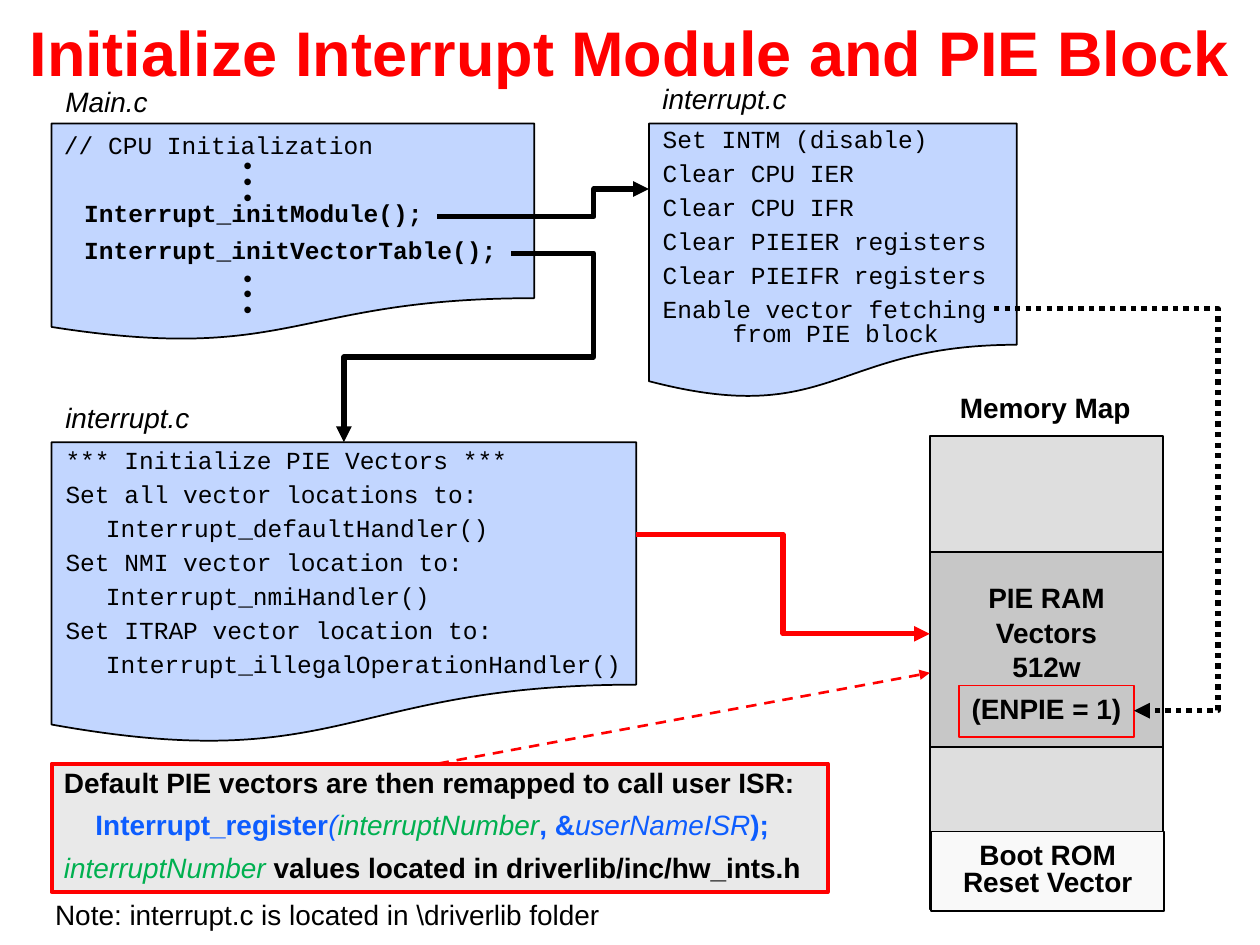
import dataclasses

import lxml.etree
import pptx
import pptx.dml.color
import pptx.enum.dml
import pptx.enum.shapes
import pptx.enum.text
import pptx.oxml.ns
import pptx.util

RGBColor = pptx.dml.color.RGBColor
BLACK = RGBColor(0x00, 0x00, 0x00)
RED = RGBColor(0xFF, 0x00, 0x00)
BLUE = RGBColor(0x0D, 0x5D, 0xFF)
GREEN = RGBColor(0x00, 0xB0, 0x50)
FILE_BLUE = RGBColor(0xC2, 0xD6, 0xFF)
NOTE_GRAY = RGBColor(0xE9, 0xE9, 0xE9)
MEMORY_GRAY = RGBColor(0xDE, 0xDE, 0xDE)
VECTOR_GRAY = RGBColor(0xC7, 0xC7, 0xC7)
ROM_WHITE = RGBColor(0xF9, 0xF9, 0xF9)

SHAPE = pptx.enum.shapes.MSO_SHAPE
CONNECTOR = pptx.enum.shapes.MSO_CONNECTOR
DASH = pptx.enum.dml.MSO_LINE
ALIGN = pptx.enum.text.PP_ALIGN
ANCHOR = pptx.enum.text.MSO_ANCHOR

# The slide is a grid of 100 columns by 75 rows of square cells.
CELL = pptx.util.Inches(0.1)
COLUMNS, ROWS = 100, 75

CODE = {"name": "Courier New", "size": pptx.util.Pt(14), "bold": False, "italic": False}
STRONG_CODE = CODE | {"bold": True}
LABEL = {"name": "Arial", "size": pptx.util.Pt(16), "bold": False, "italic": False}
STRONG = LABEL | {"bold": True}
CAPTION = LABEL | {"italic": True}
TITLE = STRONG | {"size": pptx.util.Pt(36)}


@dataclasses.dataclass
class Box:
    """A rectangle measured in grid cells."""
    left: float
    top: float
    width: float
    height: float

    def inner(self, across, down, width, height):
        """Return a box placed relative to this one's corner."""
        return Box(self.left + across, self.top + down, width, height)

    def lengths(self):
        """Return left, top, width and height as slide lengths."""
        return [cells(value) for value in dataclasses.astuple(self)]


def cells(count):
    """Turn a count of grid cells into a length."""
    return round(count * CELL)


def assign(target, formats):
    """Set every named attribute of the target."""
    for name, value in formats.items():
        setattr(target, name, value)


def write(shape, lines, font, color=BLACK, before=0, spacing=0.8, align=ALIGN.LEFT,
          anchor=ANCHOR.TOP, wrap=False, insets=(1, 0.5, 1, 0.5)):
    """Fill a shape with lines; a line is text or (spans, left margin, first indent)."""
    frame = shape.text_frame
    left, top, right, bottom = map(cells, insets)
    assign(frame, {"word_wrap": wrap, "vertical_anchor": anchor, "margin_left": left,
                   "margin_top": top, "margin_right": right, "margin_bottom": bottom})
    for index, line in enumerate(lines):
        para = frame.add_paragraph() if index else frame.paragraphs[0]
        assign(para, {"alignment": align, "line_spacing": spacing,
                      "space_before": pptx.util.Pt(before)})
        spans, margin, indent = (line, 0, 0) if isinstance(line, str) else line
        properties = para._p.get_or_add_pPr()
        properties.set("marL", str(cells(margin)))
        properties.set("indent", str(cells(indent)))
        for text, span_font, span_color in [(spans, font, color)] if isinstance(spans, str) else spans:
            span = para.add_run()
            span.text = text
            assign(span.font, span_font)
            span.font.color.rgb = span_color


def text(page, box, lines, font, **formats):
    """Add a plain text box."""
    write(page.shapes.add_textbox(*box.lengths()), lines, font, **formats)


def panel(page, box, fill, line=BLACK, weight=1, kind=SHAPE.RECTANGLE):
    """Add a filled, outlined shape without shadow."""
    shape = page.shapes.add_shape(kind, *box.lengths())
    shape.shadow.inherit = False
    shape.fill.solid()
    shape.fill.fore_color.rgb = fill
    shape.line.color.rgb = line
    shape.line.width = pptx.util.Pt(weight)
    return shape


def arrow(page, start, end, bends=(), color=BLACK, weight=3, dash=None):
    """Add an arrow; bends are the elbow positions as shares of its extent."""
    kind = CONNECTOR.ELBOW if bends else CONNECTOR.STRAIGHT
    link = page.shapes.add_connector(kind, *map(cells, (*start, *end)))
    assign(link.line, {"width": pptx.util.Pt(weight), "dash_style": dash})
    link.line.color.rgb = color
    qualified = pptx.oxml.ns.qn
    properties = link._element.spPr
    if bends:
        geometry = properties.find(qualified("a:prstGeom"))
        geometry.set("prst", f"bentConnector{len(bends) + 2}")
        guides = geometry.find(qualified("a:avLst"))
        for number, share in enumerate(bends, 1):
            lxml.etree.SubElement(guides, qualified("a:gd"), name=f"adj{number}",
                                  fmla=f"val {round(share * 100000)}")
    outline = properties.find(qualified("a:ln"))
    lxml.etree.SubElement(outline, qualified("a:tailEnd"), type="triangle")
    lxml.etree.SubElement(properties, qualified("a:effectLst"))


def source_file(page, box, caption, caption_box):
    """Draw a file as a document shape with its name above."""
    panel(page, box, FILE_BLUE, kind=SHAPE.FLOWCHART_DOCUMENT)
    text(page, caption_box, [caption], CAPTION)


def main_file(page, box):
    """Draw Main.c with its two calls between vertical ellipses."""
    source_file(page, box, "Main.c", box.inner(0.1, -3.1, 8.9, 3.1))
    for first_dot in (2.1, 11):
        for step in range(3):
            text(page, box.inner(14, first_dot + 1.25 * step, 3.2, 3), ["•"], CODE)
    text(page, box.inner(0, 0.5, 26.7, 2.9), ["// CPU Initialization"], CODE)
    text(page, box.inner(1.6, 5.9, 29, 3), ["Interrupt_initModule();"], STRONG_CODE)
    text(page, box.inner(1.6, 8.8, 34.9, 3), ["Interrupt_initVectorTable();"], STRONG_CODE)


def listing_file(page, box, caption_box, code_box, lines):
    """Draw interrupt.c with a listing of steps."""
    source_file(page, box, "interrupt.c", caption_box)
    text(page, code_box, lines, CODE, before=6, wrap=True, insets=(0, 0.5, 0, 0.5))


def memory_map(page, box):
    """Draw the memory map with its vector block and boot ROM."""
    centred = {"align": ALIGN.CENTER, "anchor": ANCHOR.MIDDLE}
    text(page, box.inner(1.4, -3.6, 15.6, 3.1), ["Memory Map"], STRONG)
    panel(page, box, MEMORY_GRAY)
    vectors = panel(page, box.inner(0, 9.2, box.width, 15.5), VECTOR_GRAY)
    write(vectors, ["PIE RAM", "Vectors", "512w"], STRONG, before=4.6,
          insets=(1, 0.5, 1, 2.8), **centred)
    boot = panel(page, box.inner(0.1, 31.4, box.width, 6.3), ROM_WHITE)
    write(boot, ["Boot ROM", "Reset Vector"], STRONG, **centred)
    enable = panel(page, box.inner(2.3, 19.8, 13.9, 4.1), VECTOR_GRAY, RED)
    write(enable, ["(ENPIE = 1)"], STRONG, **centred)


def remap_note(page, box):
    """Draw the framed note on remapping, and the remark below it."""
    call = [("Interrupt_register", STRONG, BLUE), ("(", CAPTION, BLUE),
            ("interruptNumber", CAPTION, GREEN), (", &", STRONG, BLUE),
            ("userNameISR", CAPTION, BLUE), (");", STRONG, BLUE)]
    place = [("interruptNumber", CAPTION, GREEN),
             (" values located in driverlib/inc/hw_ints.h", STRONG, BLACK)]
    frame = panel(page, box, NOTE_GRAY, RED, 2.25)
    write(frame, ["Default PIE vectors are then remapped to call user ISR:",
                  (call, 2.5, 0), (place, 0, 0)],
          STRONG, before=8.8, anchor=ANCHOR.MIDDLE, wrap=True)
    text(page, box.inner(-0.3, 10.6, 44.4, 3.2),
         ["Note: interrupt.c is located in \\driverlib folder"], LABEL,
         align=ALIGN.CENTER, anchor=ANCHOR.MIDDLE, insets=(0, 0.5, 0, 0.5))


def flow_arrows(page):
    """Link the calls, the files and the memory map."""
    arrow(page, (34.7, 17.2), (51.5, 15), [0.74])
    arrow(page, (40.6, 20.1), (27.3, 35.1), [-0.49, 0.55])
    arrow(page, (50.5, 42.4), (73.8, 50.3), [0.5], RED)
    arrow(page, (78.9, 24.5), (90, 56.4), [1.6], dash=DASH.ROUND_DOT)
    arrow(page, (34.8, 60.6), (73.8, 53.4), color=RED, weight=1.5, dash=DASH.DASH)


def interrupt_slide(deck):
    """Build the slide on interrupt initialisation."""
    page = deck.slides.add_slide(deck.slide_layouts[6])
    text(page, Box(0, 0, COLUMNS, 8.1), ["Initialize Interrupt Module and PIE Block"], TITLE,
         color=RED, spacing=1.0, align=ALIGN.CENTER, anchor=ANCHOR.MIDDLE)
    main_file(page, Box(4.1, 9.8, 38.3, 17.3))
    memory_map(page, Box(73.8, 34.6, 18.5, 37.6))
    module = Box(51.5, 9.8, 29.2, 21.9)
    listing_file(page, module, module.inner(0.1, -3.3, 12, 3.2), module.inner(1.1, 0, 26, 18.4),
                 ["Set INTM (disable)", "Clear CPU IER", "Clear CPU IFR",
                  "Clear PIEIER registers", "Clear PIEIFR registers",
                  ("Enable vector fetching from PIE block", 5.55, -5.55)])
    vectors = Box(4.1, 35.1, 46.4, 24)
    listing_file(page, vectors, vectors.inner(0.1, -3.3, 12, 3.2), vectors.inner(1.1, 0.2, 44.5, 19.3),
                 ["*** Initialize PIE Vectors ***",
                  "Set all vector locations to:", ("Interrupt_defaultHandler()", 0, 3.2),
                  "Set NMI vector location to:", ("Interrupt_nmiHandler()", 0, 3.2),
                  "Set ITRAP vector location to:",
                  ("Interrupt_illegalOperationHandler()", 0, 3.2)])
    remap_note(page, Box(4.1, 60.6, 61.6, 10.2))
    flow_arrows(page)


deck = pptx.Presentation()
assign(deck, {"slide_width": cells(COLUMNS), "slide_height": cells(ROWS)})
interrupt_slide(deck)
deck.save("out.pptx")
